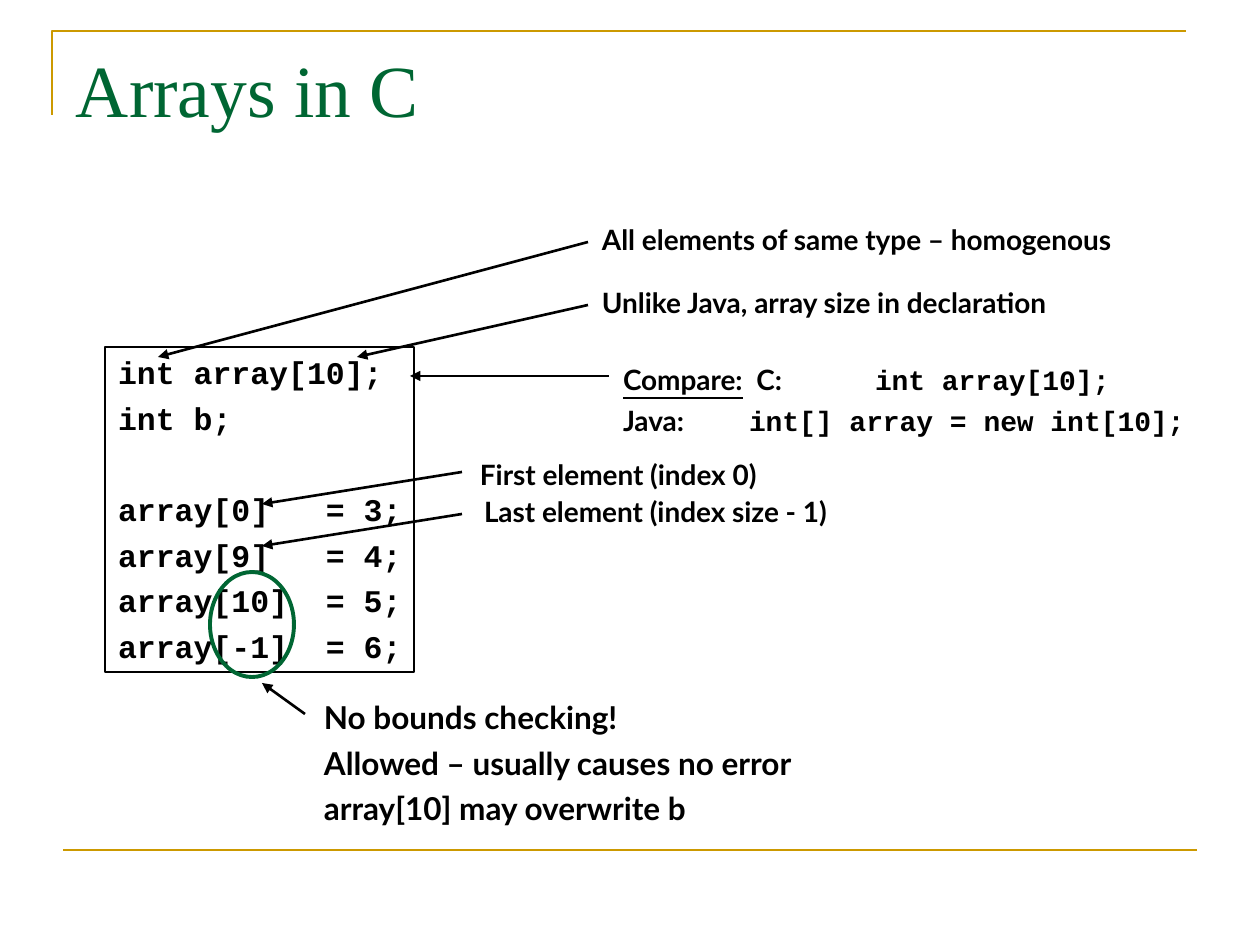
from dataclasses import dataclass

from lxml import etree
from pptx import Presentation
from pptx import util as u
from pptx.dml.color import RGBColor
from pptx.enum import shapes, text
from pptx.oxml import ns

SCALE = 914400 / 126  # EMU per px
COLORS = {"gold": "CC9900", "green": "006633", "black": "000000"}
BODY, CODE, SERIF = "Lato", "Courier New", "Times New Roman"
TAB_STOPS = (126, 252)


@dataclass
class Run:
    text: str
    font: str
    underline: bool = False


@dataclass
class Label:
    x: int
    y: int
    w: int
    h: int
    lines: list  # each line is a string or a list of Run
    size: int = 16
    font: str = BODY
    color: str = "black"
    bold: bool = True
    gap: float = 0  # points between lines
    border: bool = False


@dataclass
class Line:
    x1: int
    y1: int
    x2: int
    y2: int
    color: str = "black"
    arrow: bool = True


def px(n: int) -> u.Emu:
    return u.Emu(round(n * SCALE))


def rgb(name: str) -> RGBColor:
    return RGBColor.from_string(COLORS[name])


def outline(shape, color: str, width: float) -> None:
    shape.fill.background()
    shape.line.color.rgb = rgb(color)
    shape.line.width = u.Pt(width)
    shape.shadow.inherit = False


def add_tabs(p) -> None:
    tabs = etree.SubElement(p._p.get_or_add_pPr(), ns.qn("a:tabLst"))
    for stop in TAB_STOPS:
        etree.SubElement(tabs, ns.qn("a:tab"), pos=str(px(stop)), algn="l")


def add_label(s, label: Label) -> None:
    box = px(label.x), px(label.y), px(label.w), px(label.h)
    if label.border:
        sp = s.shapes.add_shape(shapes.MSO_SHAPE.RECTANGLE, *box)
        outline(sp, "black", 0.75)
    else:
        sp = s.shapes.add_textbox(*box)
    tf = sp.text_frame
    tf.word_wrap = True
    tf.vertical_anchor = text.MSO_ANCHOR.TOP
    tf.margin_left, tf.margin_right = px(13), 0
    tf.margin_top = tf.margin_bottom = px(6)
    for i, line in enumerate(label.lines):
        p = tf.add_paragraph() if i else tf.paragraphs[0]
        p.alignment = text.PP_ALIGN.LEFT
        if i and label.gap:
            p.space_before = u.Pt(label.gap)
        if not isinstance(line, str):
            add_tabs(p)
        p.font.size, p.font.bold = u.Pt(label.size), label.bold
        p.font.color.rgb = rgb(label.color)
        if isinstance(line, str):
            p.font.name = label.font
            if line:
                p.add_run().text = line
            continue
        for part in line:
            r = p.add_run()
            r.text, r.font.name = part.text, part.font
            if part.underline:
                r.font.underline = True


def add_line(s, line: Line) -> None:
    c = s.shapes.add_connector(shapes.MSO_CONNECTOR.STRAIGHT, px(line.x1),
                               px(line.y1), px(line.x2), px(line.y2))
    c.line.color.rgb = rgb(line.color)
    c.line.width = u.Pt(1.5)
    if line.arrow:
        etree.SubElement(c.line._get_or_add_ln(), ns.qn("a:tailEnd"), type="triangle")
    etree.SubElement(c._element.spPr, ns.qn("a:effectLst"))


LABELS = [
    Label(63, 38, 1134, 157, ["Arrays in C"], 42, SERIF, "green", False),
    Label(311, 692, 548, 142,
          ["No bounds checking!", "Allowed – usually causes no error",
           "array[10] may overwrite b"], 18, gap=4.5),
    Label(589, 280, 533, 47, ["Unlike Java, array size in declaration"]),
    Label(105, 347, 309, 325,
          ["int array[10];", "int b;", "", "array[0]   = 3;", "array[9]   = 4;",
           "array[10]  = 5;", "array[-1]  = 6;"],
          18, CODE, gap=4.5, border=True),
    Label(610, 357, 587, 87,
          [[Run("Compare:", BODY, True), Run("  C:\t", BODY), Run("int array[10];", CODE)],
           [Run("Java:\t", BODY), Run("int[] array = new int[10];", CODE)]], gap=4),
    Label(589, 217, 596, 47, ["All elements of same type – homogenous"]),
    Label(467, 451, 338, 47, ["First element (index 0)"]),
    Label(471, 489, 410, 47, ["Last element (index size - 1)"]),
]

LINES = [
    Line(63, 850, 1197, 850, "gold", False),
    Line(588, 305, 357, 357),  # array size
    Line(609, 376, 410, 376),  # comparison with Java
    Line(588, 242, 158, 357),  # element type
    Line(305, 714, 262, 683),  # bounds
    Line(462, 472, 262, 504),  # first element
    Line(462, 514, 262, 546),  # last element
]


def main() -> None:
    prs = Presentation()
    prs.slide_width, prs.slide_height = px(1260), px(945)
    s = prs.slides.add_slide(prs.slide_layouts[6])

    # Corner rule around the title
    builder = s.shapes.build_freeform(52, 115, SCALE)
    builder.add_line_segments([(52, 31), (1186, 31)], close=False)
    outline(builder.convert_to_shape(), "gold", 1.5)

    # Title, code and notes
    for label in LABELS:
        add_label(s, label)

    # Bottom rule and arrows
    for line in LINES:
        add_line(s, line)

    # Ring around the out-of-bounds indexes
    ring = s.shapes.add_shape(shapes.MSO_SHAPE.OVAL, px(210), px(572), px(84), px(105))
    outline(ring, "green", 2.25)

    prs.save("out.pptx")


if __name__ == "__main__":
    main()
